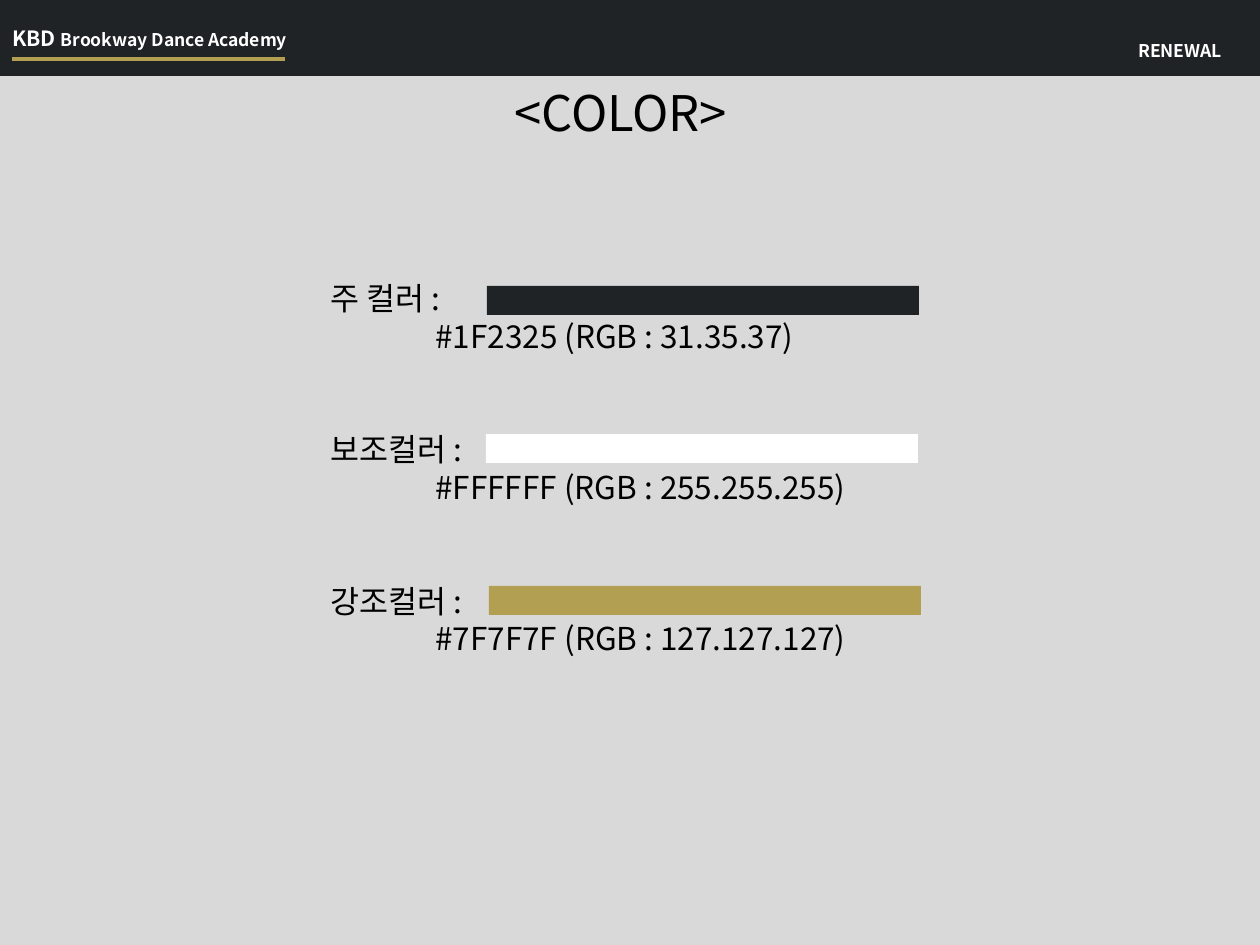
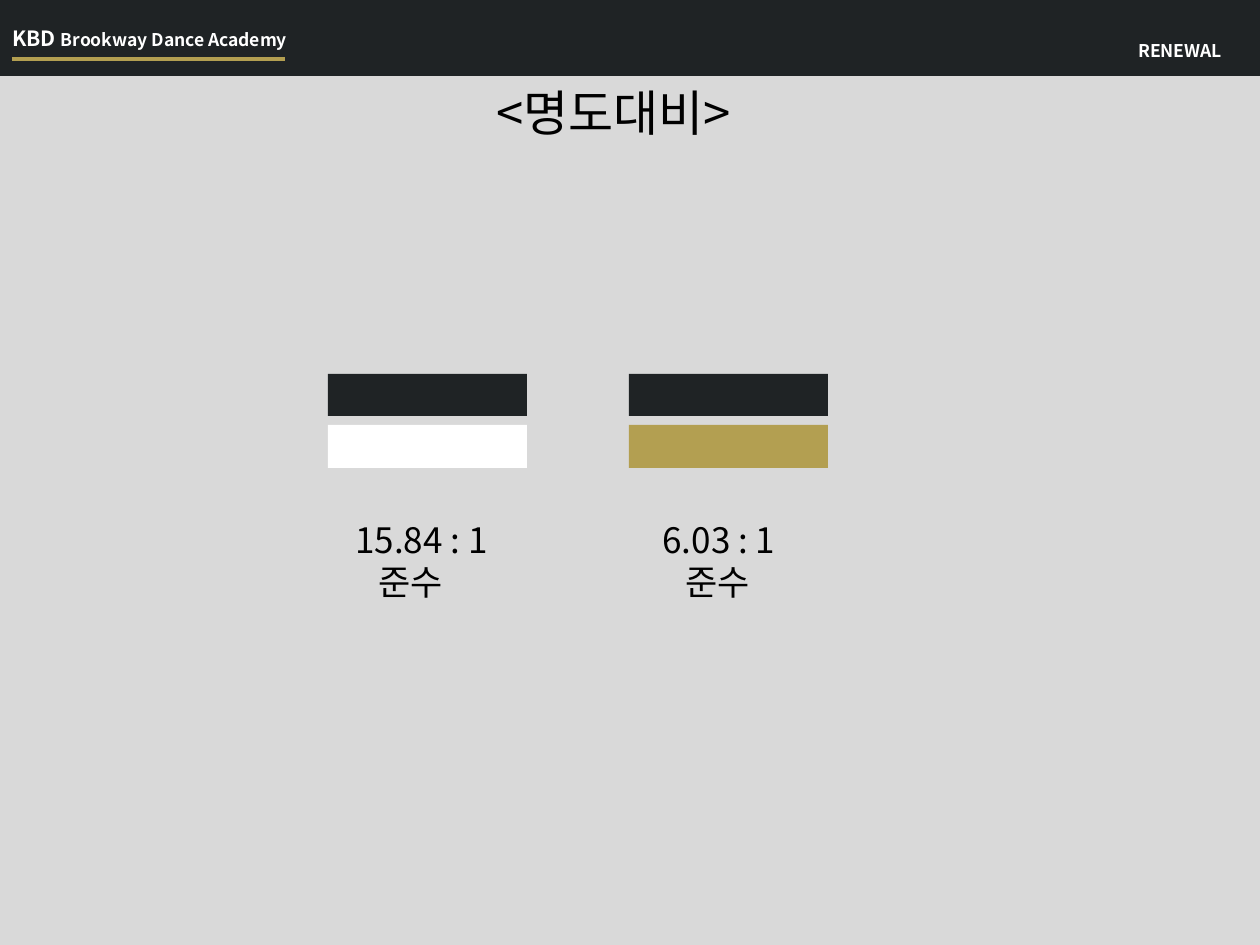
"""Build two slides on the palette and brightness contrast of a dance academy site."""
import pptx
import pptx.util
import pptx.dml.color
import pptx.enum.shapes
import pptx.enum.text
import lxml.etree

COLORS = {"dark": "1F2325", "white": "FFFFFF", "gold": "B39F51",
          "back": "D9D9D9", "black": "000000"}
FONT = "Noto Sans CJK KR"
BRAND = [("KBD ", 12), ("Brookway Dance Academy", 10)]
TAG = "RENEWAL"

PALETTE = {
    "title": ("<COLOR>", 502, 267),
    "rows": [
        ("주 컬러 : ", "#1F2325 (RGB : 31.35.37)", "dark", 487, 286),
        ("보조컬러 : ", "#FFFFFF (RGB : 255.255.255)", "white", 486, 434),
        ("강조컬러 : ", "#7F7F7F (RGB : 127.127.127)", "gold", 489, 586),
    ],
}
CONTRAST = {
    "title": ("<명도대비>", 484, 300),
    "pairs": [
        ("15.84 : 1", "준수", "white", 328, 343, 163),
        ("6.03 : 1", "준수", "gold", 629, 650, 144),
    ],
}

SCALE = 914400 // 126
WIDE, HIGH = 1260, 945
RECT = pptx.enum.shapes.MSO_SHAPE.RECTANGLE
LINE = pptx.enum.shapes.MSO_CONNECTOR.STRAIGHT
LEFT = pptx.enum.text.PP_ALIGN.LEFT
FIT = pptx.enum.text.MSO_AUTO_SIZE.SHAPE_TO_FIT_TEXT
NS = "{http://schemas.openxmlformats.org/drawingml/2006/main}"


def px(*sizes):
    return [pptx.util.Emu(size * SCALE) for size in sizes]


def rgb(name):
    return pptx.dml.color.RGBColor.from_string(COLORS[name])


def style(run, size, color, bold=False):
    font = run.font
    font.size = pptx.util.Pt(size)
    font.bold = bold
    font.color.rgb = rgb(color)
    font.name = FONT
    east = lxml.etree.Element(NS + "ea", typeface=FONT)
    run._r.rPr.find(NS + "latin").addnext(east)


def block(slide, color, *box):
    shape = slide.shapes.add_shape(RECT, *px(*box))
    shape.shadow.inherit = False
    shape.fill.solid()
    shape.fill.fore_color.rgb = rgb(color)
    shape.line.fill.background()
    return shape


def label(slide, text, box, size, color="black", bold=False, wrap=True):
    frame = slide.shapes.add_textbox(*px(*box)).text_frame
    frame.word_wrap = wrap
    frame.auto_size = FIT
    frame.text = text
    for para in frame.paragraphs:
        for run in para.runs:
            style(run, size, color, bold)
    return frame.paragraphs


def indent(para, size):
    para._p.get_or_add_pPr().set("marL", str(size * SCALE))


def base(deck, title):
    slide = deck.slides.add_slide(deck.slide_layouts[6])
    block(slide, "back", 0, 0, WIDE, HIGH)
    band = block(slide, "dark", 0, 0, WIDE, 76)
    para = band.text_frame.paragraphs[0]
    para.alignment = LEFT
    for text, size in BRAND:
        run = para.add_run()
        run.text = text
        style(run, size, "white", True)
    label(slide, TAG, (1126, 34, 110, 34), 10, "white", True, False)
    rule = slide.shapes.add_connector(LINE, *px(12, 59, 285, 59))
    rule.line.color.rgb = rgb("gold")
    rule.line.width = pptx.util.Pt(2.25)
    lxml.etree.SubElement(rule._element.spPr, NS + "effectLst")
    text, left, width = title
    label(slide, text, (left, 76, width, 72), 28)
    return slide


def palette(deck, data):
    slide = base(deck, data["title"])
    rows = data["rows"]
    text = "\n".join(f"{name}\n{code}" for name, code, *rest in rows)
    paras = label(slide, text, (318, 273, 625, 394), 18)
    for para in paras[1::2]:
        indent(para, 105)
    for para in paras[2::2]:
        para.space_before = pptx.util.Pt(43.2)
    for name, code, color, left, top in rows:
        block(slide, color, left, top, 432, 29)


def contrast(deck, data):
    slide = base(deck, data["title"])
    for ratio, grade, color, left, start, width in data["pairs"]:
        block(slide, "dark", left, 374, 199, 42)
        block(slide, color, left, 425, 199, 43)
        paras = label(slide, f"{ratio}\n{grade}", (start, 512, width, 97),
                      20, wrap=False)
        indent(paras[1], 23)


deck = pptx.Presentation()
deck.slide_width, deck.slide_height = px(WIDE, HIGH)
palette(deck, PALETTE)
contrast(deck, CONTRAST)
deck.save("out.pptx")
